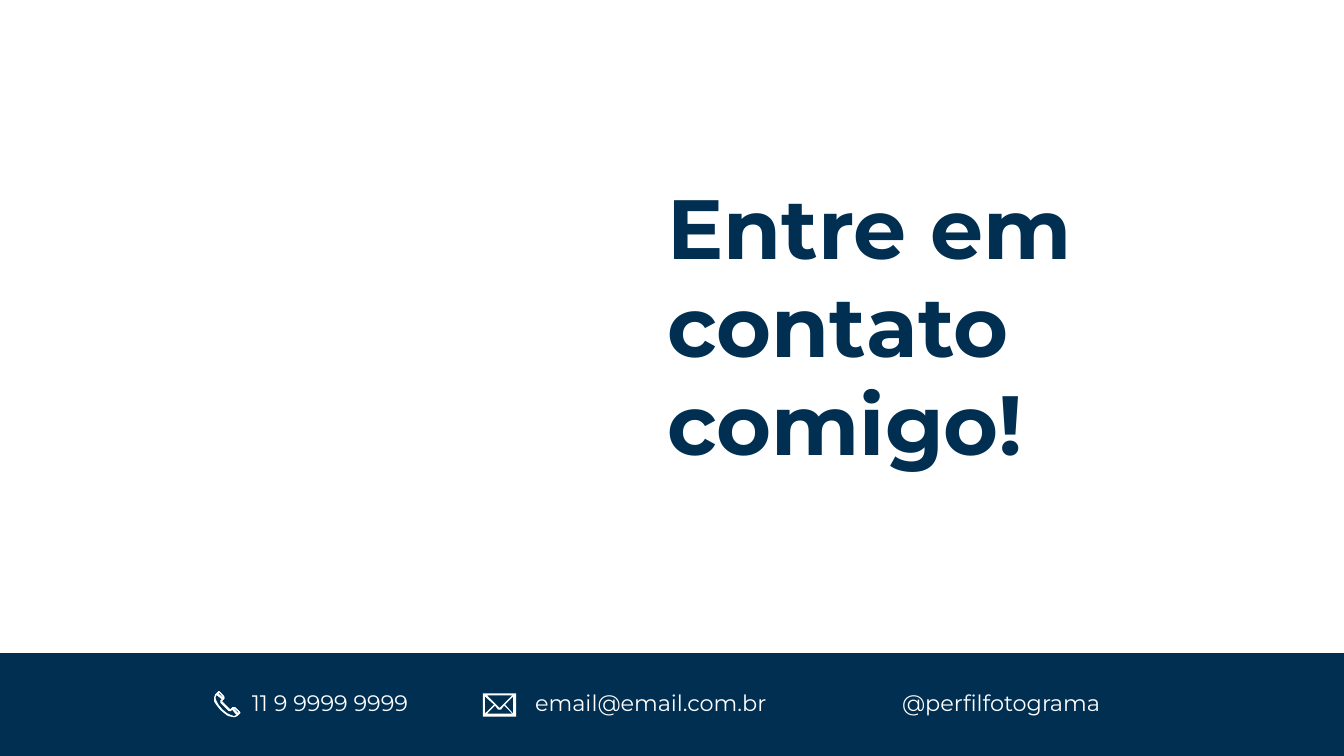
"""Build the closing contact slide with a title and a contact bar."""
from dataclasses import dataclass

from pptx import Presentation, util as u
from pptx.dml.color import RGBColor
from pptx.enum import shapes, text

TITLE = "Entre em contato comigo!"
CONTACTS = [
    ("11 9 9999 9999", 2.4, 2.28),
    ("email@email.com.br", 5.21, 2.8),
    ("@perfilfotograma", 8.85, 2.8),
]

PHONE = [
    [(24, 20), (20, 16), (18, 16), (16, 18), (15, 18), (7, 10), (7, 9), (9, 7), (9, 5),
     (5, 1), (4, 0), (3, 1), (1, 3), (0, 6), (0, 10), (2, 13), (6, 18), (12, 23), (14, 24),
     (19, 25), (22, 24), (24, 22), (25, 21)],
    [(4, 1), (5, 1), (9, 6), (9, 7), (8, 7), (3, 2)],
    [(22, 24), (19, 25), (14, 23), (12, 22), (7, 18), (3, 13), (1, 9), (0, 6), (1, 4),
     (2, 3), (8, 8), (6, 9), (6, 11), (14, 19), (16, 19), (17, 17), (22, 23)],
    [(24, 22), (23, 22), (18, 17), (18, 16), (19, 16), (24, 20)],
]
ENVELOPE = [
    [(0, 0), (0, 23), (33, 23), (33, 0)],
    [(17, 14), (16, 14), (4, 2), (29, 2)],
    [(11, 11), (2.5, 19.5), (2.5, 3)],
    [(12, 12.5), (15, 15.5), (16.5, 16), (18, 15.5), (21, 12.5), (29, 20.5), (4, 20.5)],
    [(22, 11), (30.5, 3), (30.5, 19.5)],
]
ICONS = [(PHONE, 2.13, 6.86, 0.75), (ENVELOPE, 4.79, 6.88, None)]


@dataclass(frozen=True)
class Theme:
    navy: RGBColor = RGBColor(0x00, 0x2F, 0x51)
    white: RGBColor = RGBColor(0xFF, 0xFF, 0xFF)
    font: str = "Montserrat"
    title_size: int = 60
    title_spacing: int = 70
    contact_size: int = 16


THEME = Theme()
WIDTH, HEIGHT = 13.33, 7.5
BAR_TOP = 6.48
CONTACT_TOP, CONTACT_HEIGHT = 6.8, 0.37
ICON_UNIT = u.Inches(0.01)


def place(shape, left, top, width, height):
    shape.left, shape.top = u.Inches(left), u.Inches(top)
    shape.width, shape.height = u.Inches(width), u.Inches(height)


def write(shape, content, size, color, spacing, bold=False):
    frame = shape.text_frame
    frame.word_wrap = True
    frame.auto_size = text.MSO_AUTO_SIZE.NONE
    frame.vertical_anchor = text.MSO_ANCHOR.MIDDLE
    frame.text = content
    paragraph = frame.paragraphs[0]
    paragraph.alignment = text.PP_ALIGN.LEFT
    paragraph.line_spacing = spacing
    font = paragraph.font
    font.name, font.size, font.bold = THEME.font, u.Pt(size), bold
    font.color.rgb = color


def paint(shape, color, line_width=None):
    shape.shadow.inherit = False
    shape.fill.solid()
    shape.fill.fore_color.rgb = color
    if line_width is None:
        shape.line.fill.background()
    else:
        shape.line.color.rgb = color
        shape.line.width = u.Pt(line_width)


def add_icon(slide, contours, left, top, line_width):
    builder = slide.shapes.build_freeform(*contours[0][0], scale=ICON_UNIT)
    for index, contour in enumerate(contours):
        if index:
            builder.move_to(*contour[0])
        builder.add_line_segments(contour[1:], close=True)
    icon = builder.convert_to_shape(u.Inches(left), u.Inches(top))
    paint(icon, THEME.white, line_width)


def main():
    presentation = Presentation()
    presentation.slide_width = u.Inches(WIDTH)
    presentation.slide_height = u.Inches(HEIGHT)
    slide = presentation.slides.add_slide(presentation.slide_layouts[5])

    bar = slide.shapes.add_shape(shapes.MSO_SHAPE.RECTANGLE, 0, 0, 0, 0)
    place(bar, 0, BAR_TOP, WIDTH, HEIGHT - BAR_TOP)
    paint(bar, THEME.navy)

    title = slide.shapes.title
    place(title, 6.52, 1.71, 6.58, 3.03)
    write(title, TITLE, THEME.title_size, THEME.navy, u.Pt(THEME.title_spacing), bold=True)

    for content, left, width in CONTACTS:
        contact = slide.shapes.add_textbox(0, 0, 0, 0)
        place(contact, left, CONTACT_TOP, width, CONTACT_HEIGHT)
        write(contact, content, THEME.contact_size, THEME.white, 0.9)

    for icon in ICONS:
        add_icon(slide, *icon)

    presentation.save("out.pptx")


if __name__ == "__main__":
    main()
